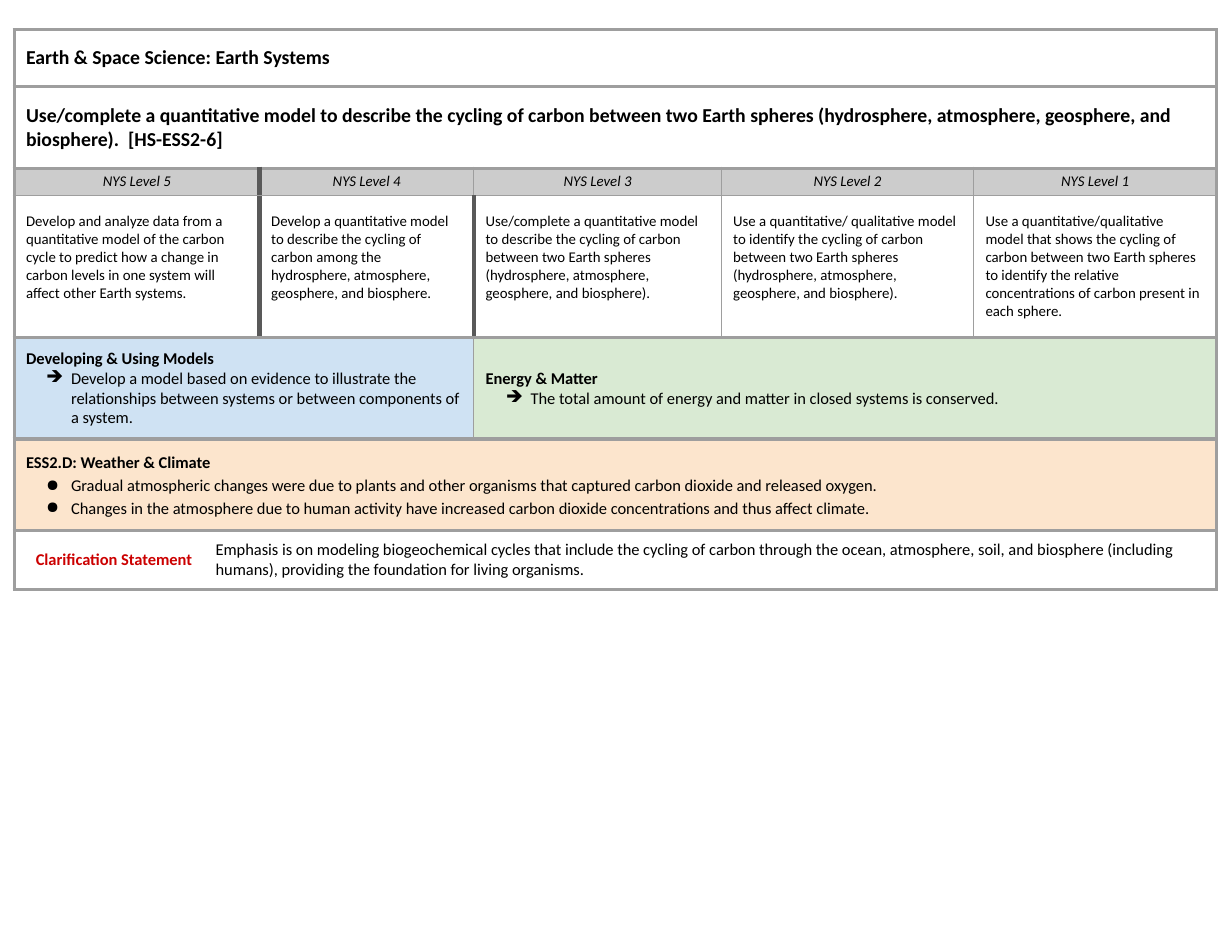
"""Builds a one-slide science standard chart with its performance levels."""
from dataclasses import dataclass

from lxml.etree import SubElement
from pptx import Presentation
from pptx.dml.color import RGBColor as Rgb
from pptx.enum.text import MSO_ANCHOR as Anchor, PP_ALIGN as Align
from pptx.oxml.ns import qn
from pptx.util import Inches, Pt


@dataclass(frozen=True)
class Theme:
    font: str = "Calibri"
    ink: str = "000000"
    accent: str = "CC0000"
    paper: str = "FFFFFF"
    header: str = "CCCCCC"
    practice: str = "CFE2F3"
    concept: str = "D9EAD3"
    idea: str = "FCE5CD"
    rule: str = "9E9E9E"
    divider: str = "595959"
    title_size: int = 12
    body_size: int = 10
    level_size: int = 9
    heavy: float = 2.25
    light: float = 0.75
    thick: float = 3


THEME = Theme()
HEAVY = (THEME.rule, THEME.heavy)
LIGHT = (THEME.rule, THEME.light)
DIVIDER = (THEME.divider, THEME.thick)

SLIDE_COLUMNS, SLIDE_ROWS = 104, 79
CHART_COLUMNS = (16, 4.7, 18.1, 20.9, 21.3, 20.5)
CHART_ROWS = (4.8, 6.8, 2.3, 12, 8.5, 7.7, 5)

LEVELS = (
    ("NYS Level 5", "Develop and analyze data from a quantitative model of the carbon cycle to predict "
     "how a change in carbon levels in one system will affect other Earth systems."),
    ("NYS Level 4", "Develop a quantitative model to describe the cycling of carbon among the "
     "hydrosphere, atmosphere, geosphere, and biosphere."),
    ("NYS Level 3", "Use/complete a quantitative model to describe the cycling of carbon between two "
     "Earth spheres (hydrosphere, atmosphere, geosphere, and biosphere)."),
    ("NYS Level 2", "Use a quantitative/ qualitative model to identify the cycling of carbon between two "
     "Earth spheres (hydrosphere, atmosphere, geosphere, and biosphere)."),
    ("NYS Level 1", "Use a quantitative/qualitative model that shows the cycling of carbon between two "
     "Earth spheres to identify the relative concentrations of carbon present in each sphere."),
)


def grid(units):
    """Turns grid units of the slide into a length."""
    return Inches(units / 10)


def write(paragraph, text, size=THEME.body_size, color=THEME.ink, bold=False, italic=False,
          align=Align.LEFT, bullet=None, spacing=None):
    """Puts formatted text into a paragraph."""
    paragraph.alignment = align
    if spacing:
        paragraph.line_spacing = spacing
    if bullet:
        props = paragraph._p.get_or_add_pPr()
        props.set("marL", str(grid(3.8)))
        props.set("indent", str(grid(-2.1)))
        tint = SubElement(props, qn("a:buClr"))
        SubElement(tint, qn("a:srgbClr"), val=THEME.ink)
        SubElement(props, qn("a:buChar"), char=bullet)
    run = paragraph.add_run()
    run.text = text
    font = run.font
    font.name, font.size, font.bold, font.italic = THEME.font, Pt(size), bold, italic
    font.color.rgb = Rgb.from_string(color)


class StandardSlide:
    """Holds the theme, the slide and its chart."""

    def __init__(self, deck, theme):
        self.theme = theme
        self.slide = deck.slides.add_slide(deck.slide_layouts[6])

    def chart(self, left, top):
        """Adds the empty table on the slide grid."""
        frame = self.slide.shapes.add_table(
            len(CHART_ROWS), len(CHART_COLUMNS), grid(left), grid(top),
            grid(sum(CHART_COLUMNS)), grid(sum(CHART_ROWS)))
        self.table = frame.table
        self.table.first_row = self.table.horz_banding = False
        for column, width in zip(self.table.columns, CHART_COLUMNS):
            column.width = grid(width)
        for row, height in zip(self.table.rows, CHART_ROWS):
            row.height = grid(height)

    def border(self, cell, side, stroke):
        """Draws one side of a cell, or hides it."""
        color, width = stroke or (None, 0)
        line = SubElement(cell._tc.get_or_add_tcPr(), qn(f"a:ln{side}"), w=str(Pt(width)))
        if color:
            paint = SubElement(line, qn("a:solidFill"))
            SubElement(paint, qn("a:srgbClr"), val=color)
        else:
            SubElement(line, qn("a:noFill"))

    def cell(self, row, first, last, lines, fill=THEME.paper, pad=0.9, anchor=Anchor.MIDDLE,
             left=HEAVY, right=HEAVY, top=HEAVY, bottom=HEAVY):
        """Fills the cells from first to last with lines of text."""
        origin = self.table.cell(row, first)
        if last > first:
            origin.merge(self.table.cell(row, last))
        for column in range(first, last + 1):
            part = self.table.cell(row, column)
            sides = {"L": left if column == first else None,
                     "R": right if column in (first, last) else None,
                     "T": top, "B": bottom}
            for side, stroke in sides.items():
                self.border(part, side, stroke)
            part.fill.solid()
            part.fill.fore_color.rgb = Rgb.from_string(fill)
        origin.vertical_anchor = anchor
        origin.margin_left = origin.margin_right = grid(1)
        origin.margin_top = origin.margin_bottom = grid(pad)
        frame = origin.text_frame
        for index, (text, style) in enumerate(lines):
            paragraph = frame.add_paragraph() if index else frame.paragraphs[0]
            write(paragraph, text, **style)

    def levels(self, row):
        """Adds the level names and their descriptions below."""
        size = self.theme.level_size
        name_edges = (HEAVY, DIVIDER, LIGHT, LIGHT, LIGHT, HEAVY)
        goal_edges = (HEAVY, DIVIDER, DIVIDER, LIGHT, LIGHT, HEAVY)
        for index, (name, goal) in enumerate(LEVELS):
            first, last = (index + 1 if index else 0), index + 1
            self.cell(row, first, last, [(name, dict(size=size, italic=True, align=Align.CENTER))],
                      fill=self.theme.header, pad=0.4, bottom=LIGHT,
                      left=name_edges[index], right=name_edges[index + 1])
            self.cell(row + 1, first, last, [(goal, dict(size=size))], pad=1.4,
                      anchor=Anchor.TOP, top=LIGHT,
                      left=goal_edges[index], right=goal_edges[index + 1])


def main():
    """Builds and saves the deck."""
    deck = Presentation()
    deck.slide_width, deck.slide_height = grid(SLIDE_COLUMNS), grid(SLIDE_ROWS)
    page = StandardSlide(deck, THEME)
    page.chart(1.2, 2.5)

    heading = dict(size=THEME.title_size, bold=True)
    label, arrow = dict(bold=True), dict(bullet="➔")
    loose_label, dot = dict(bold=True, spacing=1.15), dict(bullet="●", spacing=1.15)

    page.cell(0, 0, 5, [("Earth & Space Science: Earth Systems", heading)], pad=1.4)
    page.cell(1, 0, 5, [
        ("Use/complete a quantitative model to describe the cycling of carbon between two Earth "
         "spheres (hydrosphere, atmosphere, geosphere, and biosphere).  [HS-ESS2-6]", heading)], pad=1.4)
    page.levels(2)
    page.cell(4, 0, 2, [
        ("Developing & Using Models", label),
        ("Develop a model based on evidence to illustrate the relationships between systems or "
         "between components of a system.", arrow)], fill=THEME.practice, right=LIGHT)
    page.cell(4, 3, 5, [
        ("Energy & Matter", label),
        ("The total amount of energy and matter in closed systems is conserved.", arrow)],
        fill=THEME.concept, left=LIGHT)
    page.cell(5, 0, 5, [
        ("ESS2.D: Weather & Climate", loose_label),
        ("Gradual atmospheric changes were due to plants and other organisms that captured carbon "
         "dioxide and released oxygen.", dot),
        ("Changes in the atmosphere due to human activity have increased carbon dioxide "
         "concentrations and thus affect climate.", dot)], fill=THEME.idea)
    page.cell(6, 0, 0, [
        ("Clarification Statement", dict(bold=True, color=THEME.accent, align=Align.RIGHT))],
        pad=0.7, right=None)
    page.cell(6, 1, 5, [
        ("Emphasis is on modeling biogeochemical cycles that include the cycling of carbon through "
         "the ocean, atmosphere, soil, and biosphere (including humans), providing the foundation "
         "for living organisms.", {})], pad=0.7, left=None)
    deck.save("out.pptx")


if __name__ == "__main__":
    main()
